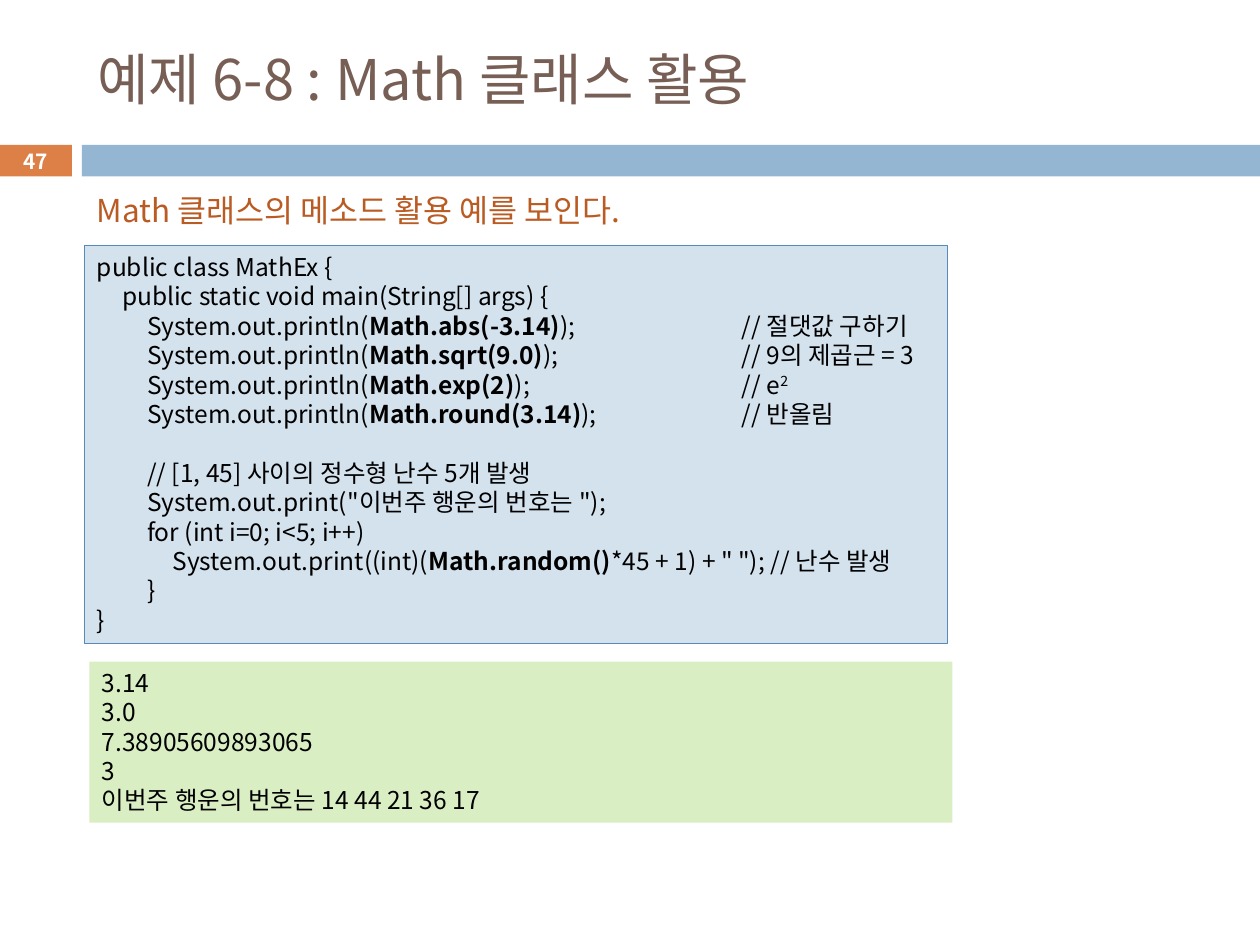
from lxml.etree import SubElement
from pptx import Presentation
from pptx.dml.color import RGBColor
from pptx.enum.shapes import MSO_SHAPE
from pptx.enum.text import MSO_ANCHOR, PP_ALIGN
from pptx.oxml.ns import qn
from pptx.util import Inches, Pt

FONT = "Noto Sans CJK KR"
TITLE = "예제 6-8 : Math 클래스 활용"
SUMMARY = "Math 클래스의 메소드 활용 예를 보인다."
PAGE_NUMBER = "47"
BOLD, SUPERSCRIPT = "bold", "superscript"

# Each line is a list of pieces; a styled piece is a (text, style) pair.
CODE = [
    ["public class MathEx {"],
    ["\tpublic static void main(String[] args) {"],
    ["\t\tSystem.out.println(", ("Math.abs(-3.14)", BOLD), ");\t// 절댓값 구하기"],
    ["\t\tSystem.out.println(", ("Math.sqrt(9.0)", BOLD), ");\t// 9의 제곱근 = 3"],
    ["\t\tSystem.out.println(", ("Math.exp(2)", BOLD), ");\t// e", ("2", SUPERSCRIPT)],
    ["\t\tSystem.out.println(", ("Math.round(3.14)", BOLD), ");\t// 반올림"],
    [],
    ["\t\t// [1, 45] 사이의 정수형 난수 5개 발생"],
    ["\t\tSystem.out.print(\"이번주 행운의 번호는 \");"],
    ["\t\tfor (int i=0; i<5; i++)"],
    ["\t\t\tSystem.out.print((int)(", ("Math.random()", BOLD),
     "*45 + 1) + \" \"); // 난수 발생"],
    ["\t\t}"],
    ["}"],
]
OUTPUT = [["3.14"], ["3.0"], ["7.38905609893065"], ["3"],
          ["이번주 행운의 번호는 14 44 21 36 17"]]
CODE_TABS = [0.2, 0.4, 0.6, 5.12]  # three indents, then the comment column


def color(hex_value):
    return RGBColor.from_string(hex_value)


def place(shape, left, top, width, height):
    shape.left, shape.top = Inches(left), Inches(top)
    shape.width, shape.height = Inches(width), Inches(height)


def add_box(slide, bounds, fill, line=None):
    shape = slide.shapes.add_shape(MSO_SHAPE.RECTANGLE, *map(Inches, bounds))
    shape.shadow.inherit = False
    shape.fill.solid()
    shape.fill.fore_color.rgb = color(fill)
    if line:
        shape.line.color.rgb = color(line)
        shape.line.width = Pt(0.75)
    else:
        shape.line.fill.background()
    return shape


def format_paragraph(paragraph, size, font_color, bold=False, align=PP_ALIGN.LEFT):
    paragraph.alignment = align
    font = paragraph.font
    font.name, font.size, font.bold = FONT, Pt(size), bold
    font.color.rgb = color(font_color)
    SubElement(font._element, qn("a:ea"), typeface=FONT)


def write_lines(shape, lines, tabs=()):
    frame = shape.text_frame
    frame.word_wrap = True
    frame.vertical_anchor = MSO_ANCHOR.TOP
    for index, pieces in enumerate(lines):
        paragraph = frame.add_paragraph() if index else frame.paragraphs[0]
        paragraph.line_spacing = Pt(16.8)
        if tabs:
            tab_list = SubElement(paragraph._p.get_or_add_pPr(), qn("a:tabLst"))
            for position in tabs:
                SubElement(tab_list, qn("a:tab"), pos=str(Inches(position)), algn="l")
        format_paragraph(paragraph, 14, "000000")
        for piece in pieces:
            text, style = (piece, None) if isinstance(piece, str) else piece
            run = paragraph.add_run()
            run.text = text
            if style == BOLD:
                run.font.bold = True
            elif style == SUPERSCRIPT:
                run.font._element.set("baseline", "30000")


def main():
    presentation = Presentation()
    presentation.slide_width, presentation.slide_height = Inches(10), Inches(7.5)
    slide = presentation.slides.add_slide(presentation.slide_layouts[5])

    number_box = add_box(slide, (-0.01, 1.15, 0.58, 0.25), "DD8047")
    add_box(slide, (0.65, 1.15, 9.35, 0.25), "94B6D2")

    title = slide.shapes.title
    place(title, 0.67, 0.25, 8.92, 0.74)
    title.text_frame.text = TITLE
    title.text_frame.vertical_anchor = MSO_ANCHOR.MIDDLE
    format_paragraph(title.text_frame.paragraphs[0], 32, "775F55")

    code_box = add_box(slide, (0.67, 1.95, 6.85, 3.16), "D4E2ED", "558BB8")
    write_lines(code_box, CODE, CODE_TABS)

    summary = slide.shapes.add_textbox(*map(Inches, (0.67, 1.47, 4.77, 0.4)))
    summary.text_frame.text = SUMMARY
    format_paragraph(summary.text_frame.paragraphs[0], 18, "B95B22")

    output_box = add_box(slide, (0.71, 5.25, 6.85, 1.28), "DAEEC4")
    write_lines(output_box, OUTPUT)

    number_frame = number_box.text_frame
    number_frame.text = PAGE_NUMBER
    number_frame.margin_top = number_frame.margin_bottom = 0
    number_frame.vertical_anchor = MSO_ANCHOR.MIDDLE
    format_paragraph(number_frame.paragraphs[0], 11.9, "FFFFFF", True, PP_ALIGN.CENTER)

    presentation.save("out.pptx")


if __name__ == "__main__":
    main()
